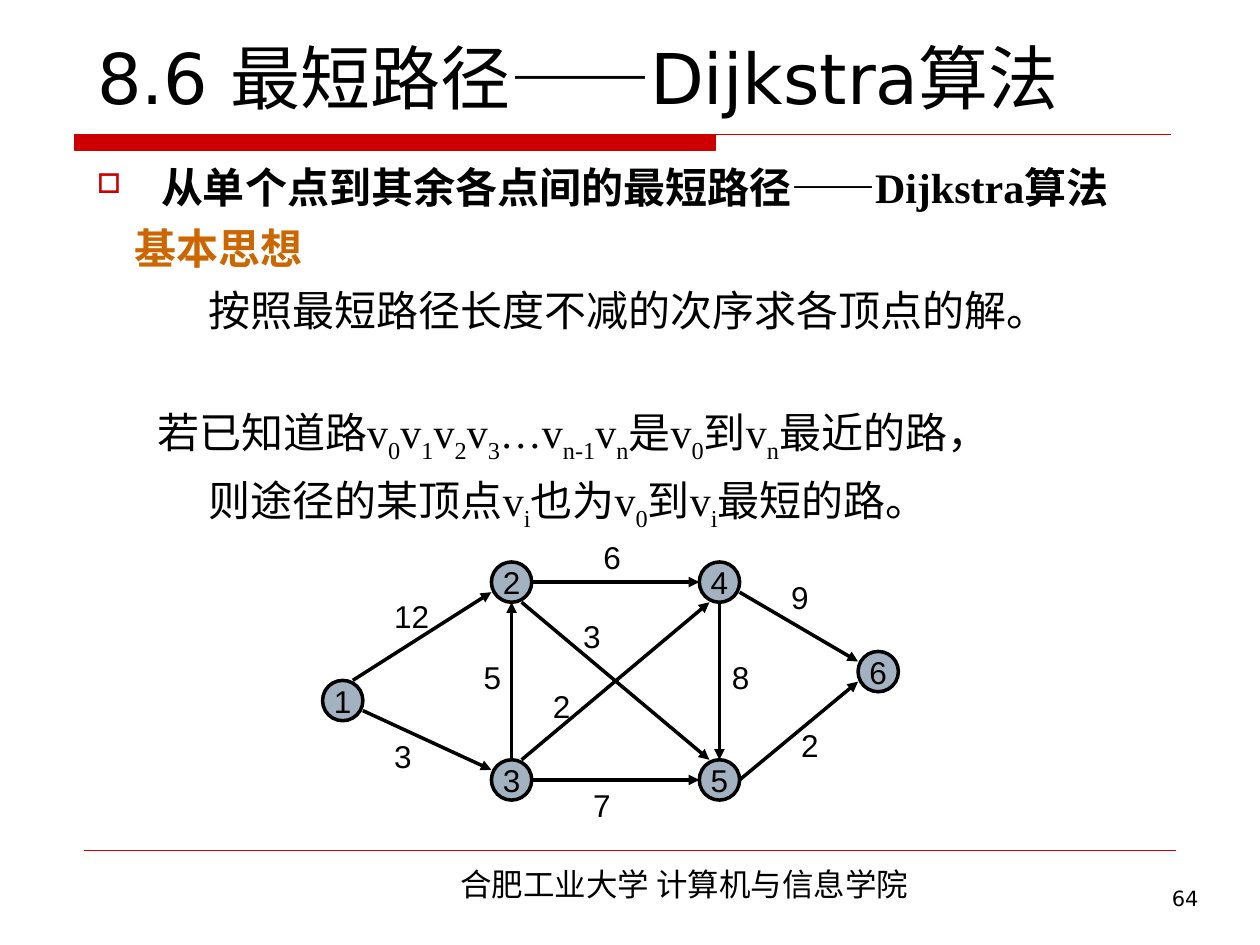
import dataclasses

import lxml.etree
import pptx
import pptx.dml.color
import pptx.enum.shapes
import pptx.enum.text
import pptx.oxml
import pptx.oxml.ns
import pptx.util

Inches = pptx.util.Inches
Pt = pptx.util.Pt
Align = pptx.enum.text.PP_ALIGN
Anchor = pptx.enum.text.MSO_ANCHOR
qn = pptx.oxml.ns.qn


@dataclasses.dataclass(frozen=True)
class Theme:
    black: str = "000000"
    red: str = "CC0000"
    orange: str = "CC6600"
    node: str = "A3B2C1"
    title_size: int = 40
    body_size: int = 24
    graph_size: int = 18
    number_size: int = 12
    title_font: str = "DejaVu Sans"
    body_font: str = "Times New Roman"
    graph_font: str = "Arial"
    chinese_font: str = "Noto Sans CJK SC"


THEME = Theme()
RADIUS = 0.16
NODES = {
    "1": (2.72, 5.56),
    "2": (4.06, 4.62),
    "3": (4.06, 6.19),
    "4": (5.71, 4.62),
    "5": (5.71, 6.19),
    "6": (6.97, 5.33),
}
# Offsets from the node centres are in half radii.
EDGES = [
    ("1", (1, -2), "2", (-2, 1), "12", (3.03, 4.69)),
    ("1", (2, 1), "3", (-2, -1), "3", (3.03, 5.8)),
    ("2", (1, 2), "5", (-1, -2), "3", (4.53, 4.85)),
    ("3", (2, 0), "5", (-2, 0), "7", (4.61, 6.19)),
    ("2", (2, 0), "4", (-2, 0), "6", (4.69, 4.22)),
    ("4", (2, 1), "6", (-2, -1), "9", (6.18, 4.54)),
    ("5", (2, 0), "6", (-2, 1), "2", (6.26, 5.71)),
    ("3", (1, -2), "4", (-1, 2), "2", (4.29, 5.4)),
    ("3", (0, -2), "2", (0, 2), "5", (3.74, 5.17)),
    ("4", (0, 2), "5", (0, -2), "8", (5.71, 5.17)),
]
BODY = [
    ("从单个点到其余各点间的最短路径——Dijkstra算法", 0.51, 0, True, THEME.black),
    ("基本思想", 0.3, 6, True, THEME.orange),
    ("按照最短路径长度不减的次序求各顶点的解。", 0.89, 6, False, THEME.black),
    ("若已知道路v|0|v|1|v|2|v|3|…v|n-1|v|n|是v|0|到v|n|最近的路，",
     0.48, 45, False, THEME.black),
    ("则途径的某顶点v|i|也为v|0|到v|i|最短的路。", 0.89, 10, False, THEME.black),
]


def rgb(value):
    return pptx.dml.color.RGBColor.from_string(value)


def format_run(run, font, size, color=THEME.black, bold=False):
    run.font.name = font
    run.font.size = Pt(size)
    run.font.bold = bold
    run.font.color.rgb = rgb(color)
    properties = run.font._element
    east_asian = lxml.etree.Element(qn("a:ea"), typeface=THEME.chinese_font)
    properties.find(qn("a:latin")).addnext(east_asian)


def write_line(shape, text, font, size, align=Align.LEFT):
    shape.text_frame.text = text
    paragraph = shape.text_frame.paragraphs[0]
    paragraph.alignment = align
    format_run(paragraph.runs[0], font, size)


def add_text_box(shapes, box, wrap=True):
    shape = shapes.add_textbox(*map(Inches, box))
    shape.text_frame.word_wrap = wrap
    return shape


def add_line(shapes, start, end, color, width, arrow=False):
    connector = shapes.add_connector(
        pptx.enum.shapes.MSO_CONNECTOR.STRAIGHT, *map(Inches, (*start, *end)))
    connector.line.color.rgb = rgb(color)
    connector.line.width = Pt(width)
    if arrow:
        lxml.etree.SubElement(
            connector.line._get_or_add_ln(), qn("a:tailEnd"), type="triangle")
    lxml.etree.SubElement(connector._element.spPr, qn("a:effectLst"))


def add_title(slide):
    title = slide.shapes.title
    title.left, title.top, title.width, title.height = map(
        Inches, (0.67, 0.21, 8.75, 0.78))
    title.text_frame.vertical_anchor = Anchor.BOTTOM
    write_line(title, "8.6 最短路径——Dijkstra算法", THEME.title_font, THEME.title_size)


def add_title_rule(slide):
    corners = [(5.68, 1.07), (5.68, 1.19), (0.59, 1.19)]
    builder = slide.shapes.build_freeform(Inches(0.59), Inches(1.07))
    builder.add_line_segments([tuple(map(Inches, corner)) for corner in corners])
    builder.move_to(Inches(0.59), Inches(1.07))
    builder.add_line_segments([(Inches(9.29), Inches(1.07))], close=False)
    shape = builder.convert_to_shape()
    shape.shadow.inherit = False
    shape.fill.solid()
    shape.fill.fore_color.rgb = rgb(THEME.red)
    shape.line.color.rgb = rgb(THEME.red)
    shape.line.width = Pt(0.75)


def add_bullet(properties):
    color = lxml.etree.SubElement(properties, qn("a:buClr"))
    lxml.etree.SubElement(color, qn("a:srgbClr"), val=THEME.red)
    lxml.etree.SubElement(properties, qn("a:buSzPct"), val="65000")
    lxml.etree.SubElement(properties, qn("a:buChar"), char="□")


def add_body(slide):
    frame = add_text_box(slide.shapes, (0.67, 1.23, 8.74, 3.15)).text_frame
    for index, (text, indent, before, bold, color) in enumerate(BODY):
        paragraph = frame.add_paragraph() if index else frame.paragraphs[0]
        properties = paragraph._p.get_or_add_pPr()
        properties.set("marL", str(Inches(indent)))
        if index == 0:
            properties.set("indent", str(-Inches(indent)))
            add_bullet(properties)
        paragraph.line_spacing = Pt(29)
        paragraph.space_before = Pt(before)
        for position, part in enumerate(text.split("|")):
            run = paragraph.add_run()
            run.text = part
            format_run(run, THEME.body_font, THEME.body_size, color, bold)
            if position % 2:
                run.font._element.set("baseline", "-25000")


def add_node(shapes, name):
    x, y = NODES[name]
    box = (x - RADIUS, y - RADIUS, 2 * RADIUS, 2 * RADIUS)
    shape = shapes.add_shape(
        pptx.enum.shapes.MSO_SHAPE.OVAL, *map(Inches, box))
    shape.shadow.inherit = False
    shape.fill.solid()
    shape.fill.fore_color.rgb = rgb(THEME.node)
    shape.line.color.rgb = rgb(THEME.black)
    shape.line.width = Pt(2)
    shape.text_frame.word_wrap = False
    shape.text_frame.vertical_anchor = Anchor.MIDDLE
    write_line(shape, name, THEME.graph_font, THEME.graph_size, Align.CENTER)


def edge_point(name, offset):
    return tuple(centre + step * RADIUS / 2
                 for centre, step in zip(NODES[name], offset))


def add_graph(slide):
    shapes = slide.shapes.add_group_shape().shapes
    for source, leave, target, arrive, weight, place in EDGES:
        add_line(shapes, edge_point(source, leave), edge_point(target, arrive),
                 THEME.black, 2, arrow=True)
        width = 0.2 + 0.14 * len(weight)
        label = add_text_box(shapes, (*place, width, 0.4), wrap=False)
        write_line(label, weight, THEME.graph_font, THEME.graph_size)
    for name in NODES:
        add_node(shapes, name)


def add_footer(slide):
    add_line(slide.shapes, (0.67, 6.75), (9.33, 6.75), THEME.red, 0.25)
    school = add_text_box(slide.shapes, (2.4, 6.82, 6.06, 0.4))
    write_line(school, "合肥工业大学 计算机与信息学院",
               THEME.chinese_font, THEME.graph_size, Align.CENTER)
    number = add_text_box(slide.shapes, (7.44, 6.98, 2.17, 0.52))
    write_line(number, "64", THEME.title_font, THEME.number_size, Align.RIGHT)


def main():
    presentation = pptx.Presentation()
    presentation.slide_width = Inches(10)
    presentation.slide_height = Inches(7.5)
    slide = presentation.slides.add_slide(presentation.slide_layouts[5])
    add_title_rule(slide)
    add_title(slide)
    add_body(slide)
    add_graph(slide)
    add_footer(slide)
    presentation.save("out.pptx")


if __name__ == "__main__":
    main()
